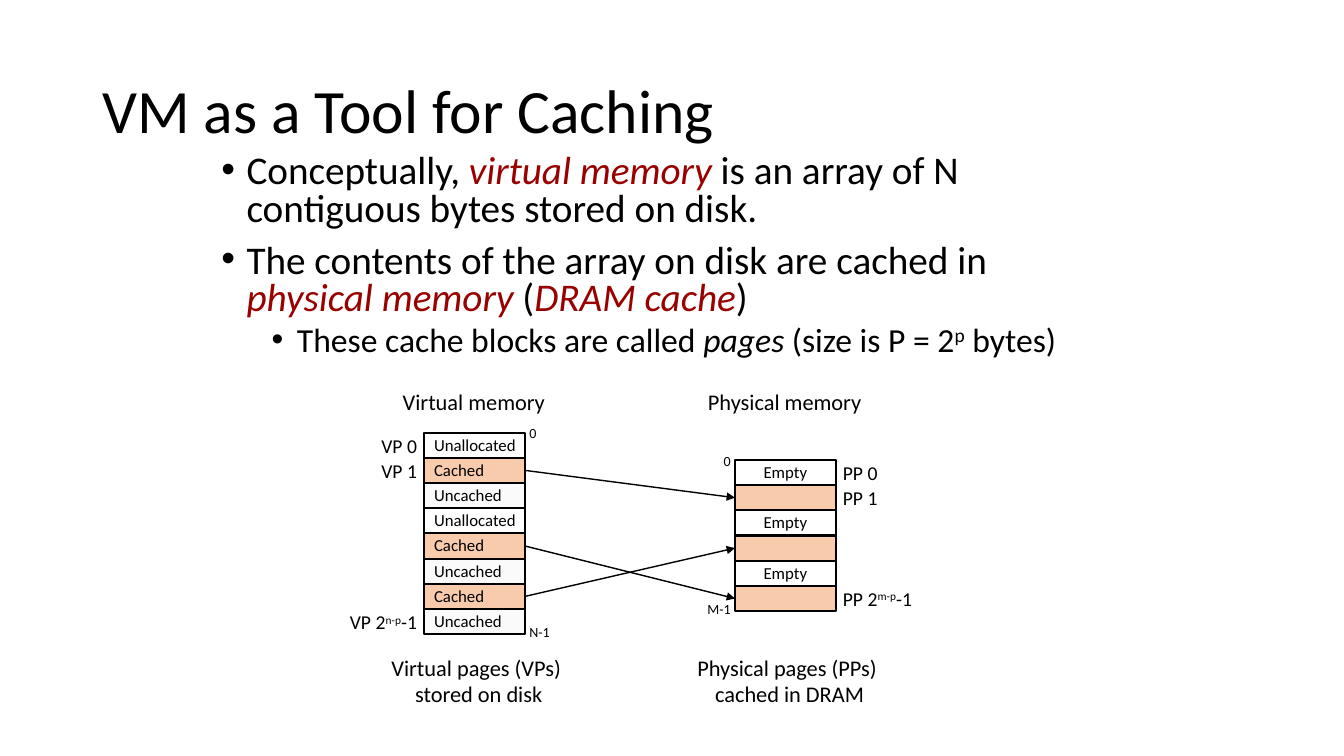
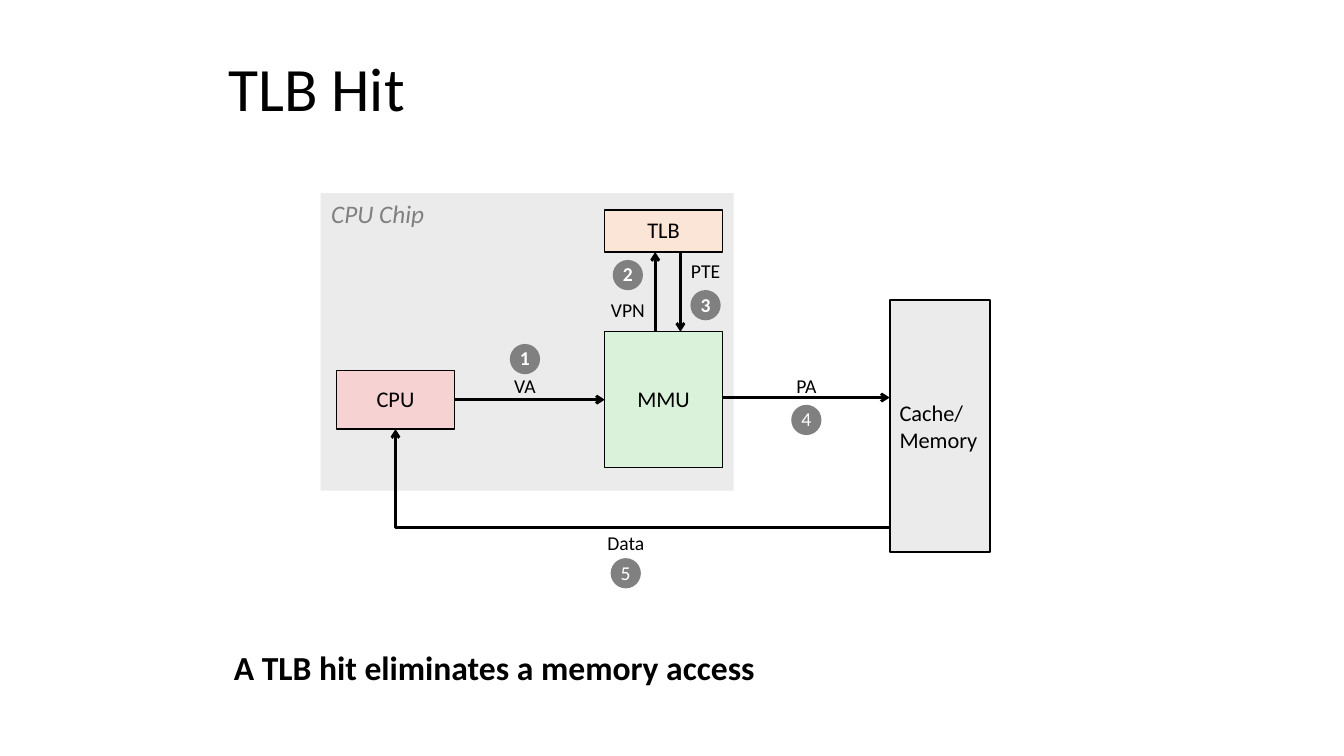
from lxml import etree
from pptx import Presentation
from pptx import util as u
from pptx.dml import color
from pptx.enum import shapes, text
from pptx.oxml import ns

FONT = "Calibri"
BLACK, WHITE = "000000", "FFFFFF"
RED, GREY, PALE = "990000", "808080", "EBEBEB"
FILLS = {"Unallocated": WHITE, "Empty": WHITE, "Uncached": "FAFAFA", "Cached": "F8CBAD", "": "F8CBAD"}
LEFT, CENTER, RIGHT = text.PP_ALIGN.LEFT, text.PP_ALIGN.CENTER, text.PP_ALIGN.RIGHT
TOP, MIDDLE = text.MSO_ANCHOR.TOP, text.MSO_ANCHOR.MIDDLE
SITE_LEFT, SITE_BOTTOM, SITE_RIGHT = 1, 2, 3


def rgb(value):
    return color.RGBColor.from_string(value)


def points(*values):
    return [u.Pt(value) for value in values]


def add_runs(paragraph, parts):
    for part in [parts] if isinstance(parts, str) else parts:
        words, style = (part, "") if isinstance(part, str) else part
        run = paragraph.add_run()
        run.text = words
        if style in ("term", "italic"):
            run.font.italic = True
        if style == "term":
            run.font.color.rgb = rgb(RED)
        if style == "super":
            run.font._element.set("baseline", "30000")


def add_bullet(paragraph, margin, hanging):
    props = paragraph._p.get_or_add_pPr()
    props.set("marL", str(u.Pt(margin)))
    props.set("indent", str(-u.Pt(hanging)))
    etree.SubElement(props, ns.qn("a:buFont"), typeface="Arial")
    etree.SubElement(props, ns.qn("a:buChar"), char="•")


def style_font(font, size, ink=BLACK, bold=None, italic=None):
    font.name, font.size, font.bold, font.italic = FONT, u.Pt(size), bold, italic
    font.color.rgb = rgb(ink)


def write(shape, lines, size, align=CENTER, anchor=MIDDLE, spacing=0.98, wrap=False, **look):
    frame = shape.text_frame
    frame.word_wrap = wrap
    frame.vertical_anchor = anchor
    for index, parts in enumerate(lines):
        paragraph = frame.add_paragraph() if index else frame.paragraphs[0]
        paragraph.alignment = align
        paragraph.line_spacing = spacing
        style_font(paragraph.font, size, **look)
        add_runs(paragraph, parts)


def add_label(slide, box, lines, size, **layout):
    write(slide.shapes.add_textbox(*points(*box)), lines, size, **layout)


def add_centred(slide, x, y, words, size):
    add_label(slide, (x - 30, y - 12, 60, 24), [words], size)


def add_block(slide, box, fill, border=None, kind=shapes.MSO_SHAPE.RECTANGLE):
    block = slide.shapes.add_shape(kind, *points(*box))
    block.shadow.inherit = False
    block.fill.solid()
    block.fill.fore_color.rgb = rgb(fill)
    if border:
        block.line.color.rgb = rgb(BLACK)
        block.line.width = u.Pt(border)
    else:
        block.line.fill.background()
    return block


def add_arrow(slide, ends=(0, 0, 0, 0), source=None, target=None, width=2, head="arrow", elbow=False):
    kind = shapes.MSO_CONNECTOR.ELBOW if elbow else shapes.MSO_CONNECTOR.STRAIGHT
    arrow = slide.shapes.add_connector(kind, *points(*ends))
    if source:
        arrow.begin_connect(*source)
    if target:
        arrow.end_connect(*target)
    arrow.line.color.rgb = rgb(BLACK)
    arrow.line.width = u.Pt(width)
    props = arrow._element.spPr
    etree.SubElement(props.find(ns.qn("a:ln")), ns.qn("a:tailEnd"), type=head)
    etree.SubElement(props, ns.qn("a:effectLst"))
    return arrow


def turn_corner(arrow):
    props = arrow._element.spPr
    props.find(ns.qn("a:prstGeom")).set("prst", "bentConnector2")
    frame = props.find(ns.qn("a:xfrm"))
    for flip in ("flipH", "flipV"):
        frame.attrib.pop(flip, None)
    frame.set("rot", "10800000")


def add_title(slide, box, words):
    add_label(slide, box, [words], 44, align=LEFT, spacing=0.9, wrap=True)


def add_bullets(slide, box, items):
    frame = slide.shapes.add_textbox(*points(*box)).text_frame
    frame.word_wrap = True
    for index, (level, parts) in enumerate(items):
        paragraph = frame.add_paragraph() if index else frame.paragraphs[0]
        paragraph.level = level
        paragraph.line_spacing = 0.8
        paragraph.space_before = u.Pt(5 if level else 10)
        add_bullet(paragraph, 18 + 36 * level, 18)
        style_font(paragraph.font, 28 - 4 * level)
        add_runs(paragraph, parts)


def add_memory(slide, box, offset, heading, caption, cells, pages, ends, pages_left):
    left, top, width, height = box
    row, first = 18, top + offset
    middle = left + width / 2
    align = LEFT if pages_left else CENTER

    def beside(words, size, y, on_left, overlap, span):
        x = left + overlap - span if on_left else left + width - overlap
        add_label(slide, (x, y - 11, span, 22), [words], size, align=RIGHT if on_left else LEFT)

    add_label(slide, (middle - 70, top - 0.5, 139, 24), [heading], 16)
    blocks = []
    for index, state in enumerate(cells):
        block = add_block(slide, (left, first + index * row, width, row), FILLS[state], 1.5)
        if state:
            write(block, [state], 12, align=align)
        blocks.append(block)
    for index, (words, span) in pages.items():
        beside(words, 14, first + (index + 0.5) * row + 1, pages_left, 2, span)
    for words, y in zip(ends, (first + 1, first + len(cells) * row - 1)):
        beside(words, 10, y, not pages_left, 4, 40)
    add_label(slide, (middle - 72, top + height - 46, 150, 46), caption, 16)
    return blocks


def build_caching(slide):
    add_title(slide, (66, 29, 828, 104), "VM as a Tool for Caching")
    add_bullets(slide, (151, 107, 622, 163), [
        (0, ["Conceptually,", (" virtual memory ", "term"),
             "is an array of N contiguous bytes stored on disk. "]),
        (0, ["The contents of the array on disk are cached in ", ("physical memory", "term"),
             " (", ("DRAM cache", "term"), ")"]),
        (1, ["These cache blocks are called ", ("pages ", "italic"), "(size is P = 2",
             ("p", "super"), " bytes)"]),
    ])
    virtual = add_memory(
        slide, (303, 276, 72, 234), 33, "Virtual memory", ["Virtual pages (VPs) ", "stored on disk"],
        ["Unallocated", "Cached", "Uncached", "Unallocated", "Cached", "Uncached", "Cached", "Uncached"],
        {0: ("VP 0", 50), 1: ("VP 1", 50), 7: (["VP 2", ("n-p", "super"), "-1"], 80)},
        ["0", "N-1"], True)
    physical = add_memory(
        slide, (525, 276, 72, 234), 52.5, "Physical memory", ["Physical pages (PPs) ", "cached in DRAM"],
        ["Empty", "", "Empty", "", "Empty", ""],
        {0: ("PP 0", 50), 1: ("PP 1", 50), 5: (["PP 2", ("m-p", "super"), "-1"], 80)},
        ["0", "M-1"], False)
    for page, frame in ((1, 1), (4, 5), (6, 3)):
        add_arrow(slide, source=(virtual[page], SITE_RIGHT), target=(physical[frame], SITE_LEFT),
                  width=1, head="triangle")


def add_translation(slide, box):
    left, top, width, height = box

    def unit(x, y, w, h, fill, lines, border=1, align=CENTER):
        block = add_block(slide, (left + x, top + y, w, h), fill, border)
        write(block, lines, 16, align=align, spacing=0.98 if align == CENTER else 1)
        return block

    def ends(x1, y1, x2, y2):
        return left + x1, top + y1, left + x2, top + y2

    add_block(slide, box, PALE)
    add_label(slide, (left + 0.5, top, 90, 29), ["CPU Chip"], 18, align=LEFT, anchor=TOP,
              spacing=1, ink=GREY, italic=True)
    mmu = unit(203, 99, 84, 97, "DBF2DA", ["MMU"])
    cpu = unit(11.5, 126.5, 84, 42, "F6D2D2", ["CPU"])
    unit(203, 12, 84, 30, "FBE5D6", ["TLB"])
    unit(406.5, 76.5, 72, 180, PALE, ["Cache/", "Memory"], 1.5, LEFT)

    add_arrow(slide, source=(cpu, SITE_RIGHT), target=(mmu, SITE_LEFT))
    for route in ((239, 99, 239, 42), (257, 42, 257, 99), (287, 146, 406.5, 146)):
        add_arrow(slide, ends(*route))
    turn_corner(add_arrow(slide, ends(406.5, 238.5, 53.5, 168.5), target=(cpu, SITE_BOTTOM), elbow=True))

    steps = [("VA", 146, 138, 118.5), ("VPN", 219.5, 84, 58.5), ("PTE", 275, 56, 80),
             ("PA", 347, 138, 162), ("Data", 218, 250.5, 271.5)]
    for number, (signal, x, signal_y, badge_y) in enumerate(steps, 1):
        add_centred(slide, left + x, top + signal_y, signal, 14)
        badge = add_block(slide, (left + x - 10.8, top + badge_y - 10.8, 21.6, 21.6), GREY,
                          kind=shapes.MSO_SHAPE.OVAL)
        write(badge, [str(number)], 14, ink=WHITE, bold=number <= 3)


def build_tlb_hit(slide):
    add_title(slide, (156, 34.5, 686, 62), "TLB Hit")
    add_translation(slide, (229, 138, 295, 212.5))
    add_label(slide, (160, 458.5, 566, 45), ["A TLB hit eliminates a memory access"], 24,
              align=LEFT, anchor=TOP, spacing=1, wrap=True, bold=True)


deck = Presentation()
deck.slide_width, deck.slide_height = points(960, 540)
for build in (build_caching, build_tlb_hit):
    build(deck.slides.add_slide(deck.slide_layouts[6]))
deck.save("out.pptx")
